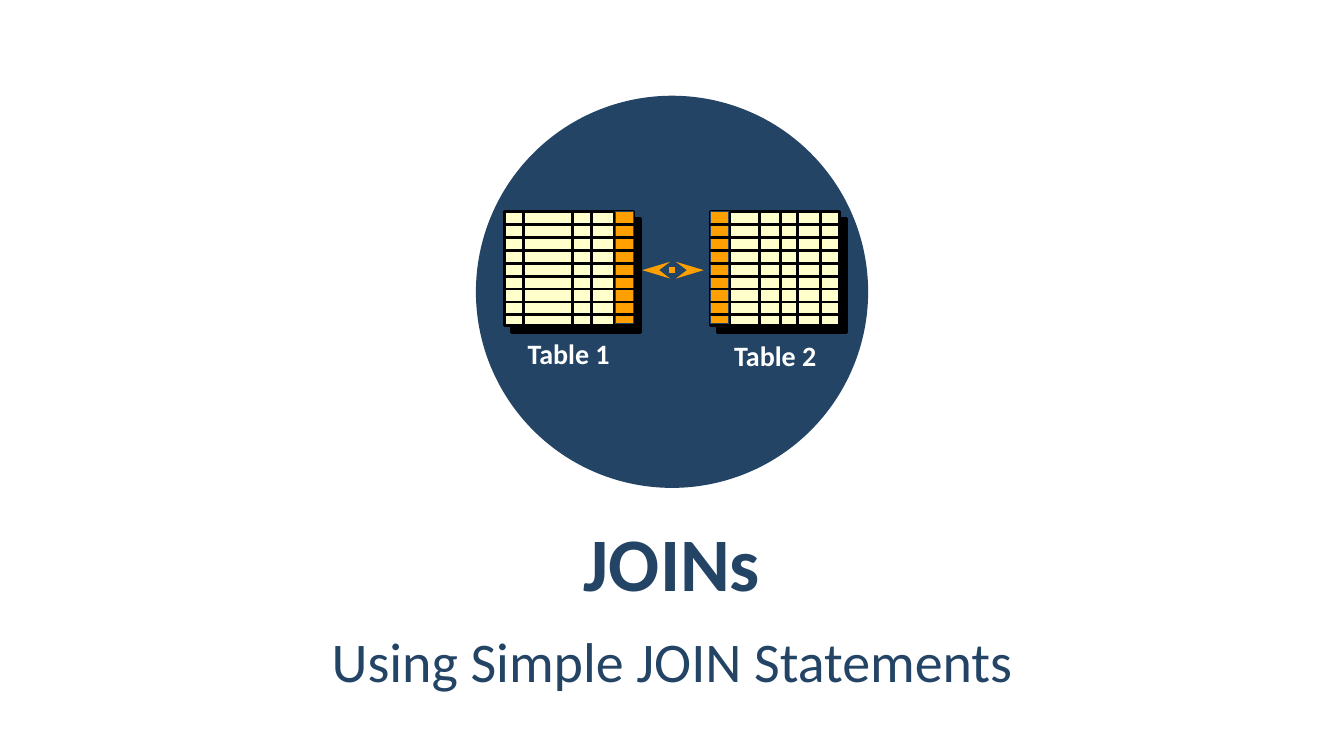
from lxml.etree import SubElement
from pptx import Presentation
from pptx.dml.color import RGBColor
from pptx.enum.dml import MSO_LINE
from pptx.enum.shapes import MSO_CONNECTOR, MSO_SHAPE
from pptx.enum.text import MSO_ANCHOR, PP_ALIGN
from pptx.oxml.ns import qn
from pptx.util import Inches, Pt

NAVY = RGBColor(0x23, 0x44, 0x65)
CREAM = RGBColor(0xFF, 0xFF, 0xCC)
ORANGE = RGBColor(0xFF, 0xA0, 0x00)
BLACK = RGBColor(0, 0, 0)
WHITE = RGBColor(0xFF, 0xFF, 0xFF)

GRID_TOP, GRID_WIDTH, GRID_HEIGHT = 2.1, 1.28, 1.13
KEY_WIDTH = 0.18
ROW_COUNT, ROW_HEIGHT = 9, 0.128


def add_filled(slide, kind, left, top, width, height, color, line=None, weight=0):
    shape = slide.shapes.add_shape(
        kind, Inches(left), Inches(top), Inches(width), Inches(height))
    shape.shadow.inherit = False
    shape.fill.solid()
    shape.fill.fore_color.rgb = color
    if line is None:
        shape.line.fill.background()
    else:
        shape.line.color.rgb = line
        shape.line.width = Pt(weight)
    return shape


def add_hard_shadow(shape):
    effects = shape._element.spPr.find(qn("a:effectLst"))
    shadow = SubElement(effects, qn("a:outerShdw"), blurRad="0", dist=str(Pt(7.1)),
                        dir="2700000", algn="ctr", rotWithShape="0")
    SubElement(shadow, qn("a:srgbClr"), val=str(BLACK))


def add_line(slide, x1, y1, x2, y2, color, weight):
    line = slide.shapes.add_connector(
        MSO_CONNECTOR.STRAIGHT, Inches(x1), Inches(y1), Inches(x2), Inches(y2))
    line.line.color.rgb = color
    line.line.width = Pt(weight)
    SubElement(line._element.spPr, qn("a:effectLst"))
    return line


def add_join_arrow(slide, x1, x2, y):
    arrow = add_line(slide, x1, y, x2, y, ORANGE, 4)
    arrow.line.dash_style = MSO_LINE.ROUND_DOT
    outline = arrow.line._get_or_add_ln()
    for end in ("a:headEnd", "a:tailEnd"):
        SubElement(outline, qn(end), type="stealth", w="med", len="lg")


def add_text(slide, text, left, top, width, height, size, color, bold=False,
             anchor=MSO_ANCHOR.TOP, margin_x=0.1, margin_y=0.05):
    box = slide.shapes.add_textbox(
        Inches(left), Inches(top), Inches(width), Inches(height))
    frame = box.text_frame
    frame.word_wrap = True
    frame.vertical_anchor = anchor
    frame.margin_left = frame.margin_right = Inches(margin_x)
    frame.margin_top = frame.margin_bottom = Inches(margin_y)
    frame.text = text
    paragraph = frame.paragraphs[0]
    paragraph.alignment = PP_ALIGN.CENTER
    font = paragraph.runs[0].font
    font.name = "Calibri"
    font.size = Pt(size)
    font.bold = bold
    font.color.rgb = color
    return paragraph


def add_joined_table(slide, label, left, label_top, key_left, column_edges):
    grid = add_filled(slide, MSO_SHAPE.RECTANGLE, left, GRID_TOP,
                      GRID_WIDTH, GRID_HEIGHT, CREAM, BLACK, 2)
    add_hard_shadow(grid)
    add_filled(slide, MSO_SHAPE.RECTANGLE, key_left, GRID_TOP,
               KEY_WIDTH, 1.11, ORANGE, NAVY, 0.75)
    for row in range(1, ROW_COUNT):
        y = GRID_TOP + row * ROW_HEIGHT
        add_line(slide, left - 0.01, y, left + GRID_WIDTH + 0.02, y, BLACK, 2)
    for x in column_edges:
        add_line(slide, x, GRID_TOP - 0.01, x, GRID_TOP + GRID_HEIGHT + 0.01, BLACK, 2)
    add_text(slide, label, left, label_top, GRID_WIDTH, 0.44, 20, WHITE, bold=True)


def add_heading(slide, text, top, size, bold=False):
    return add_text(slide, text, 0.67, top, 11.99, 0.84, size, NAVY, bold,
                    MSO_ANCHOR.MIDDLE, 0.12, 0.04)


def main():
    deck = Presentation()
    deck.slide_width, deck.slide_height = Inches(13.33), Inches(7.5)
    slide = deck.slides.add_slide(deck.slide_layouts[6])

    add_filled(slide, MSO_SHAPE.OVAL, 4.72, 0.95, 3.89, 3.89, NAVY)
    add_joined_table(slide, "Table 1", 5, 3.29, 6.1, [5.19, 5.68, 5.87, 6.09])
    add_joined_table(slide, "Table 2", 7.05, 3.31, 7.05, [7.24, 7.53, 7.74, 7.91, 8.14])
    add_join_arrow(slide, 6.37, 6.98, 2.68)

    add_heading(slide, "JOINs", 5.15, 54, bold=True)
    subtitle = add_heading(slide, "Using Simple JOIN Statements", 6.11, 40)
    subtitle.line_spacing = 1.05
    subtitle.space_before = subtitle.space_after = Pt(6)

    deck.save("out.pptx")


if __name__ == "__main__":
    main()
